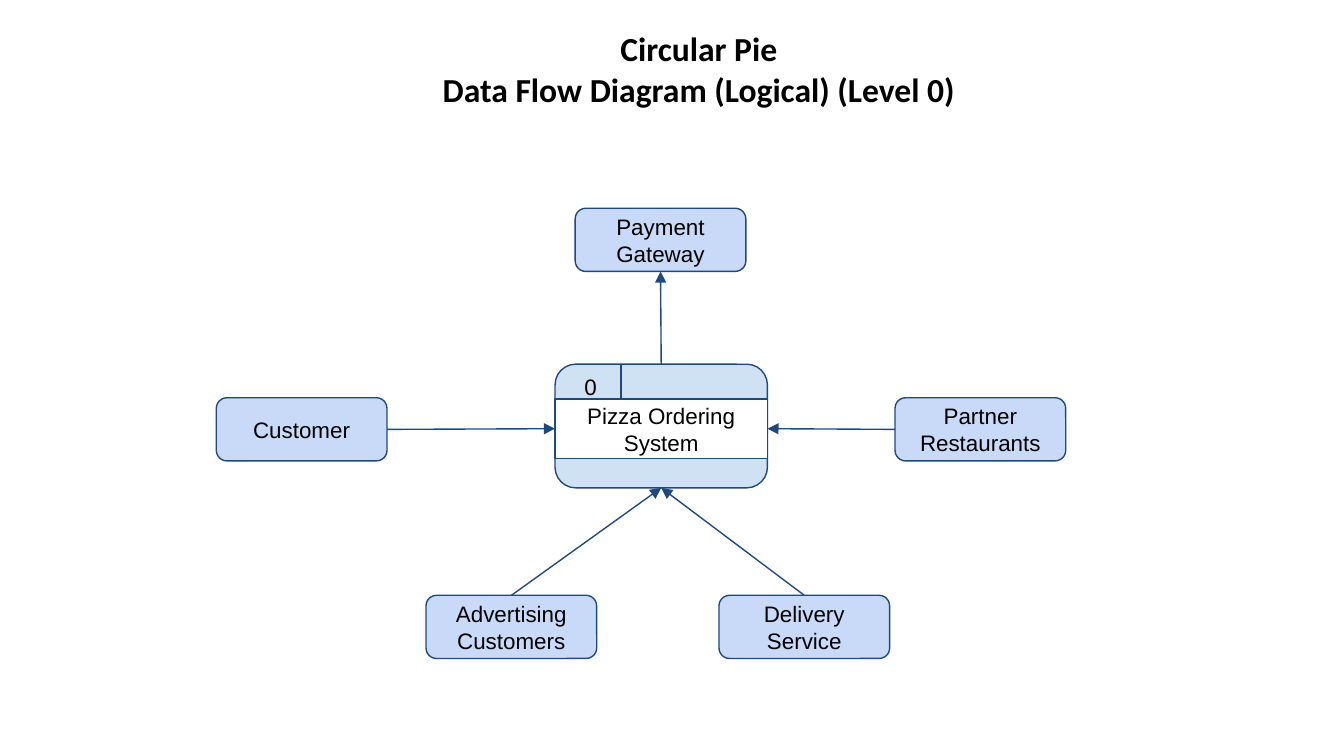
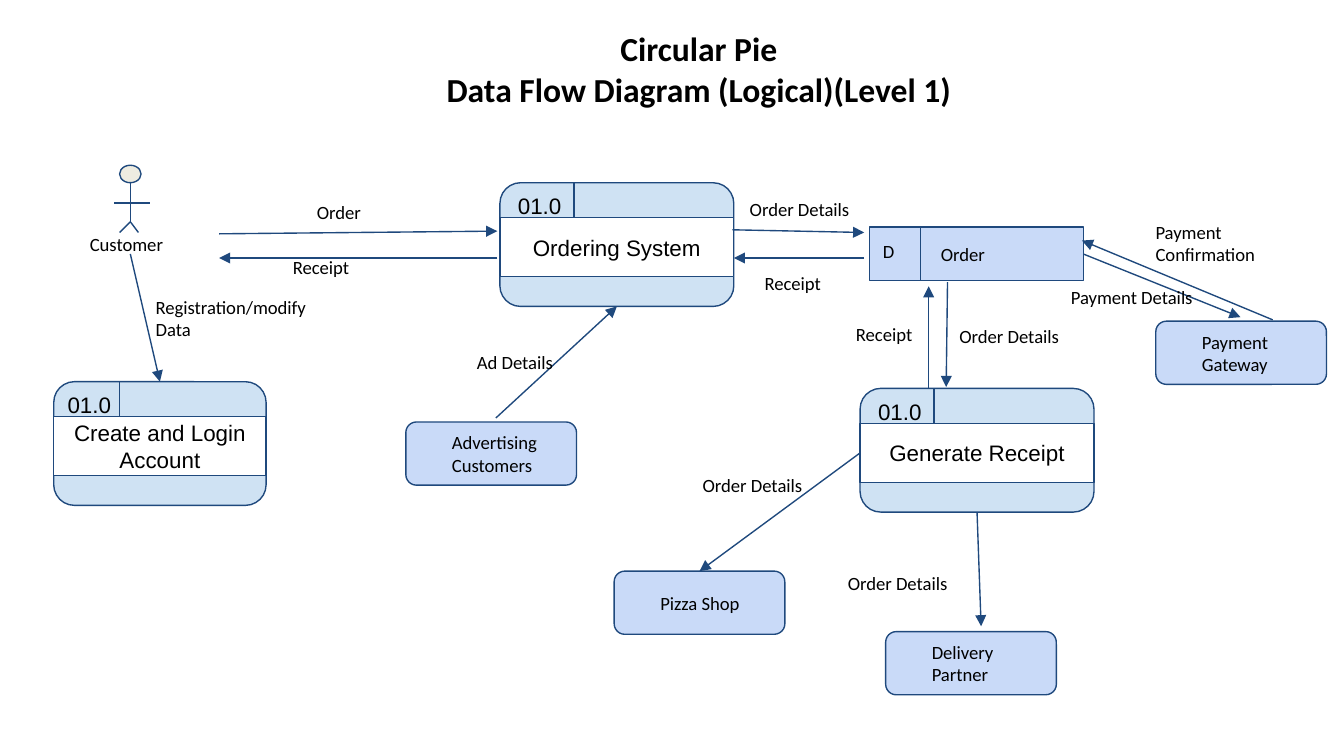
from pptx import Presentation
from pptx.dml.color import RGBColor
from pptx.enum import shapes, text
from pptx.oxml import parse_xml
from pptx.oxml import ns
from pptx.util import Inches, Pt

NAVY = RGBColor(0x1F, 0x49, 0x7D)
PALE_BLUE = RGBColor(0xCF, 0xE2, 0xF3)
PERIWINKLE = RGBColor(0xC9, 0xDA, 0xF8)
CREAM = RGBColor(0xEE, 0xEC, 0xE1)
WHITE = RGBColor(0xFF, 0xFF, 0xFF)
BLACK = RGBColor(0, 0, 0)

LEFT, CENTER = text.PP_ALIGN.LEFT, text.PP_ALIGN.CENTER
TOP_ANCHOR, MIDDLE = text.MSO_ANCHOR.TOP, text.MSO_ANCHOR.MIDDLE
ROUNDED = shapes.MSO_SHAPE.ROUNDED_RECTANGLE
RECT = shapes.MSO_SHAPE.RECTANGLE
TOP, WEST, BOTTOM, EAST = range(4)  # connection sites

# Common sizes in inches
COMPANY = "Circular Pie"
TITLE_BOX = (2.69, 0.11, 5.02, 0.72)
ENTITY_W, ENTITY_H = 1.27, 0.47
PROCESS_H, BAND_TOP, BAND_H = 0.92, 0.26, 0.44
STORE_W, STORE_H, STORE_KEY_W = 1.59, 0.4, 0.38
LABEL_H, LABEL_LINE = 0.37, 0.17
INSET = 0.1

# Font name, size
LARGE = ("Arial", 12)
SMALL = ("Calibri", 10)
TITLE = ("Calibri", 18)

# Content. A flow end is a point or a (node name, side) pair.
LEVEL_0 = {
    "title": "Data Flow Diagram (Logical) (Level 0)",
    # name, number, x, y, width, number cell width
    "processes": [("Pizza Ordering System", "0", 4.13, 2.71, 1.58, 0.49)],
    # name, x, y
    "entities": [
        ("Customer", 1.61, 2.96),
        ("Payment Gateway", 4.28, 1.55),
        ("Partner Restaurants", 6.66, 2.96),
        ("Advertising Customers", 3.17, 4.43),
        ("Delivery Service", 5.35, 4.43),
    ],
    "entity_style": (LARGE, CENTER, 0.02, 0.02),
    "flows": [
        (("Customer", EAST), ("Pizza Ordering System", WEST)),
        (("Partner Restaurants", WEST), ("Pizza Ordering System", EAST)),
        (("Advertising Customers", TOP), ("Pizza Ordering System", BOTTOM)),
        (("Delivery Service", TOP), ("Pizza Ordering System", BOTTOM)),
        (("Pizza Ordering System", TOP), ("Payment Gateway", BOTTOM)),
    ],
}

LEVEL_1 = {
    "title": "Data Flow Diagram (Logical)(Level 1)",
    "processes": [
        ("Ordering System", "01.0", 3.72, 1.36, 1.74, 0.55),
        ("Create and Login Account", "01.0", 0.4, 2.84, 1.58, 0.49),
        ("Generate Receipt", "01.0", 6.4, 2.89, 1.74, 0.55),
    ],
    "entities": [
        ("Advertising Customers", 3.02, 3.14),
        ("Pizza Shop", 4.57, 4.25),
        ("Delivery Partner", 6.59, 4.7),
        ("Payment Gateway", 8.6, 2.39),
    ],
    "entity_style": (SMALL, LEFT, 0.32, 0.25),
    # name, key, x, y
    "stores": [("Order", "D", 6.47, 1.69)],
    # centre x, top of the head
    "actors": [(0.97, 1.23)],
    # words, x, y, width
    "labels": [
        ("Customer", 0.57, 1.65, 0.86),
        ("Order", 2.26, 1.41, 0.75),
        ("Receipt", 2.08, 1.82, 0.75),
        ("Order Details", 5.48, 1.39, 1.02),
        ("Receipt", 5.59, 1.94, 0.75),
        ("Registration/modify\nData", 1.06, 2.1, 1.35),
        ("Order Details", 7.04, 2.33, 1.02),
        ("Receipt", 6.27, 2.32, 0.75),
        ("Order Details", 5.13, 3.44, 1.02),
        ("Ad Details", 3.45, 2.53, 0.91),
        ("Order Details", 6.21, 4.17, 1.02),
        ("Payment Details", 7.87, 2.04, 1.2),
        ("Payment\nConfirmation", 8.5, 1.54, 1.1),
    ],
    "flows": [
        ((1.63, 1.74), (3.7, 1.72)),
        ((3.7, 1.92), (1.63, 1.92)),
        ((5.45, 1.71), (6.43, 1.73)),
        ((6.43, 1.92), (5.46, 1.92)),
        ((6.91, 2.89), (6.91, 2.13)),
        ((7.05, 2.1), (7.04, 2.88)),
        ((0.97, 1.89), ("Create and Login Account", TOP)),
        ((3.69, 3.11), ("Ordering System", BOTTOM)),
        (("Generate Receipt", WEST), ("Pizza Shop", TOP)),
        (("Generate Receipt", BOTTOM), (7.3, 4.66)),
        (("Order", EAST), (9.23, 2.36)),
        ((9.47, 2.38), (8.05, 1.79)),
    ],
}


# Drawing helpers
def inches(*lengths):
    return [Inches(v) for v in lengths]


def write(sp, words, font, align=LEFT, anchor=MIDDLE, left=INSET, right=INSET,
          bold=False):
    tf = sp.text_frame
    tf.text = words
    tf.word_wrap = True
    tf.vertical_anchor = anchor
    tf.margin_left, tf.margin_right = inches(left, right)
    tf.margin_top = tf.margin_bottom = Inches(INSET)
    for p in tf.paragraphs:
        p.alignment = align
        for r in p.runs:
            r.font.name, r.font.size = font[0], Pt(font[1])
            r.font.bold = bold
            r.font.color.rgb = BLACK


def add_text(parent, words, box, font, **style):
    sp = parent.shapes.add_textbox(*inches(*box))
    write(sp, words, font, anchor=TOP_ANCHOR, **style)


def add_box(parent, kind, box, fill):
    sp = parent.shapes.add_shape(kind, *inches(*box))
    sp.shadow.inherit = False
    sp.fill.solid()
    sp.fill.fore_color.rgb = fill
    sp.line.color.rgb = NAVY
    sp.line.width = Pt(0.75)
    return sp


def add_line(parent, start, end, arrow=False):
    c = parent.shapes.add_connector(shapes.MSO_CONNECTOR.STRAIGHT,
                                    *inches(*start, *end))
    c.line.color.rgb = NAVY
    c.line.width = Pt(0.75)
    if arrow:
        c.line._get_or_add_ln().append(
            parse_xml(f'<a:tailEnd {ns.nsdecls("a")} type="triangle"/>'))
    c._element.spPr.append(parse_xml(f'<a:effectLst {ns.nsdecls("a")}/>'))
    return c


# Diagram parts; each node returns the shape to join on each of its sides
def add_process(s, name, number, x, y, w, cell_w):
    group = s.shapes.add_group_shape()
    frame = add_box(group, ROUNDED, (x, y, w, PROCESS_H), PALE_BLUE)
    add_text(group, number, (x, y - 0.03, cell_w + 0.04, LABEL_H), LARGE,
             align=CENTER, left=0, right=0)
    band = add_box(group, RECT, (x, y + BAND_TOP, w, BAND_H), WHITE)
    write(band, name, LARGE, CENTER)
    add_line(group, (x + cell_w, y), (x + cell_w, y + BAND_TOP))
    return {TOP: frame, BOTTOM: frame, WEST: band, EAST: band}


def add_entity(s, name, x, y, style):
    sp = add_box(s, ROUNDED, (x, y, ENTITY_W, ENTITY_H), PERIWINKLE)
    font, align, left, right = style
    write(sp, name, font, align, left=left, right=right)
    return dict.fromkeys(range(4), sp)


def add_store(s, name, key, x, y):
    sp = add_box(s, RECT, (x, y, STORE_W, STORE_H), PERIWINKLE)
    write(sp, name, SMALL, left=STORE_KEY_W + 0.15)
    divider = x + STORE_KEY_W
    add_line(s, (divider, y), (divider, y + STORE_H))
    add_text(s, key, (x, y + 0.01, STORE_KEY_W, LABEL_H), SMALL)
    return dict.fromkeys(range(4), sp)


def add_actor(s, x, y):
    group = s.shapes.add_group_shape()
    neck, arms, hip, feet = (y + d for d in (0.13, 0.28, 0.42, 0.5))
    add_box(group, shapes.MSO_SHAPE.OVAL, (x - 0.08, y, 0.16, 0.13), CREAM)
    add_line(group, (x, neck), (x, hip))
    add_line(group, (x - 0.12, arms), (x + 0.15, arms))
    for dx in (-0.08, 0.06):
        add_line(group, (x, hip), (x + dx, feet))


def add_flow(s, nodes, start, end):
    ends = [e if e[0] not in nodes else (0, 0) for e in (start, end)]
    c = add_line(s, *ends, arrow=True)
    for e, join in ((start, c.begin_connect), (end, c.end_connect)):
        if e[0] in nodes:
            name, side = e
            join(nodes[name][side], side)


def add_diagram(prs, diagram):
    s = prs.slides.add_slide(prs.slide_layouts[6])
    add_text(s, f"{COMPANY}\n{diagram['title']}", TITLE_BOX, TITLE,
             align=CENTER, bold=True)
    nodes = {}
    for process in diagram["processes"]:
        nodes[process[0]] = add_process(s, *process)
    for entity in diagram["entities"]:
        nodes[entity[0]] = add_entity(s, *entity, diagram["entity_style"])
    for store in diagram.get("stores", []):
        nodes[store[0]] = add_store(s, *store)
    for actor in diagram.get("actors", []):
        add_actor(s, *actor)
    for start, end in diagram["flows"]:
        add_flow(s, nodes, start, end)
    for words, x, y, w in diagram.get("labels", []):
        h = LABEL_H + LABEL_LINE * words.count("\n")
        add_text(s, words, (x, y, w, h), SMALL)


def main():
    prs = Presentation()
    prs.slide_width = Inches(10)
    prs.slide_height = prs.slide_width * 9 // 16
    for diagram in (LEVEL_0, LEVEL_1):
        add_diagram(prs, diagram)
    prs.save("out.pptx")


if __name__ == "__main__":
    main()
